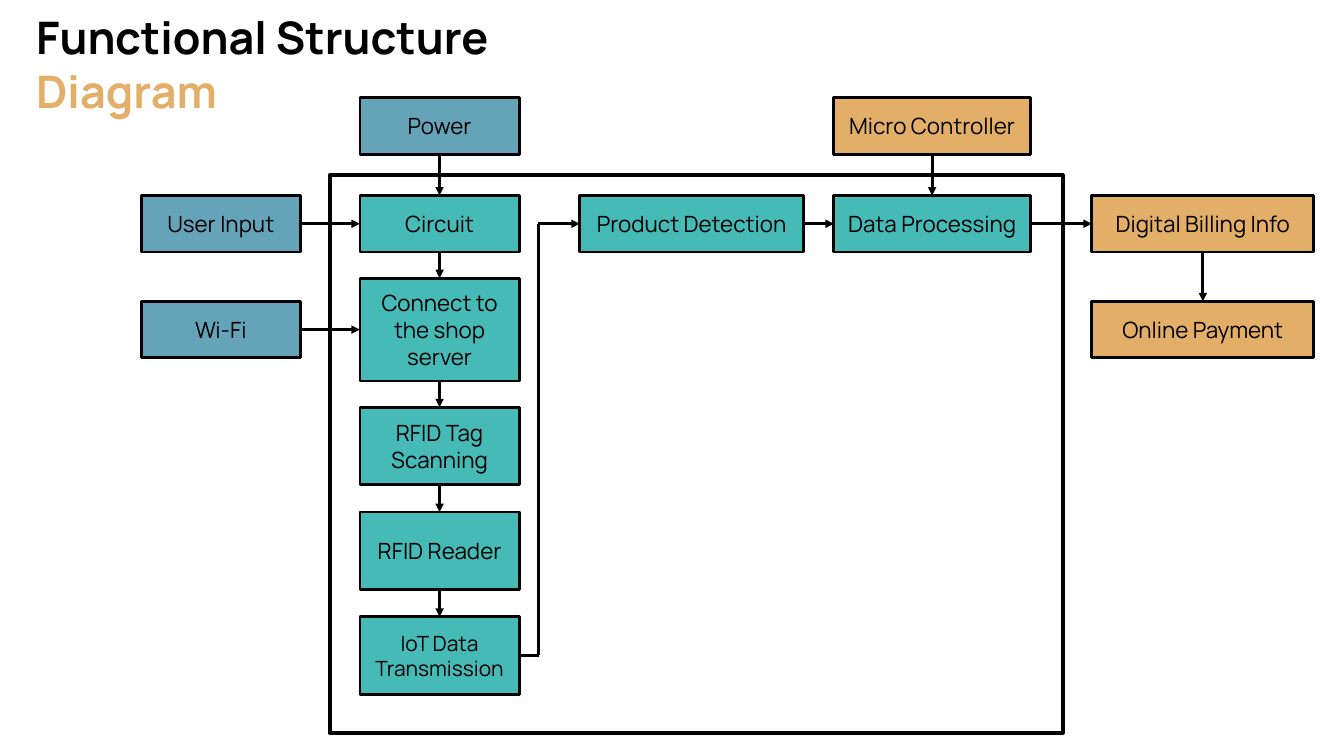
"""Builds the functional structure diagram slide."""
from typing import NamedTuple

from lxml import etree
from pptx import Presentation
from pptx.dml.color import RGBColor
from pptx.enum.shapes import MSO_CONNECTOR, MSO_SHAPE
from pptx.enum.text import MSO_ANCHOR, PP_ALIGN
from pptx.oxml.ns import qn
from pptx.util import Pt

PX = 9144
FONT = "Manrope"
BLACK = RGBColor(0x00, 0x00, 0x00)
TEAL = RGBColor(0x46, 0xBA, 0xB7)
SAND = RGBColor(0xE2, 0xAE, 0x68)
BLUE = RGBColor(0x65, 0xA3, 0xB9)
RECTANGLE = MSO_SHAPE.RECTANGLE
STRAIGHT = MSO_CONNECTOR.STRAIGHT
MIDDLE = MSO_ANCHOR.MIDDLE
LEFT, CENTER = PP_ALIGN.LEFT, PP_ALIGN.CENTER
TOP_SIDE, LEFT_SIDE, BOTTOM_SIDE, RIGHT_SIDE = range(4)

INPUT_X, STEP_X, DETECT_X, PROCESS_X, BILLING_X = 140, 357, 575, 827, 1083
STEP_W, DETECT_W, PROCESS_W, BILLING_W = 158, 222, 195, 220
SOURCE_Y, MAIN_Y, LOWER_Y = 97, 194, 299
LOW_H, HIGH_H = 56, 77
SCAN_Y, STEP_PITCH = 404, 104
MAIN_MID = MAIN_Y + LOW_H // 2
BEND_X = 534


class Box(NamedTuple):
    """A labelled block of the diagram."""
    label: str
    x: int
    y: int
    w: int
    h: int
    color: RGBColor
    size: int = 16


class Flow(NamedTuple):
    """An arrow from one block to the next, downward or to the right."""
    source: str
    target: str
    down: bool = True


BOXES = [
    Box("Circuit", STEP_X, MAIN_Y, STEP_W, LOW_H, TEAL),
    Box("Connect to the shop server", STEP_X, 276, STEP_W, 102, TEAL),
    Box("RFID Tag Scanning", STEP_X, SCAN_Y, STEP_W, HIGH_H, TEAL),
    Box("RFID Reader", STEP_X, SCAN_Y + STEP_PITCH, STEP_W, HIGH_H, TEAL),
    Box("IoT Data\nTransmission", STEP_X, SCAN_Y + 2 * STEP_PITCH, STEP_W, HIGH_H, TEAL, 15),
    Box("Product Detection", DETECT_X, MAIN_Y, DETECT_W, LOW_H, TEAL),
    Box("Data Processing", PROCESS_X, MAIN_Y, PROCESS_W, LOW_H, TEAL),
    Box("Digital Billing Info", BILLING_X, MAIN_Y, BILLING_W, LOW_H, SAND),
    Box("Online Payment", BILLING_X, LOWER_Y, BILLING_W, LOW_H, SAND),
    Box("User Input", INPUT_X, MAIN_Y, STEP_W, LOW_H, BLUE),
    Box("Wi-Fi", INPUT_X, LOWER_Y, STEP_W, LOW_H, BLUE),
    Box("Power", STEP_X, SOURCE_Y, STEP_W, LOW_H, BLUE),
    Box("Micro Controller", PROCESS_X, SOURCE_Y, PROCESS_W, LOW_H, SAND),
]
FLOWS = [
    Flow("User Input", "Circuit", down=False),
    Flow("Wi-Fi", "Connect to the shop server", down=False),
    Flow("Power", "Circuit"),
    Flow("Circuit", "Connect to the shop server"),
    Flow("Connect to the shop server", "RFID Tag Scanning"),
    Flow("RFID Tag Scanning", "RFID Reader"),
    Flow("RFID Reader", "IoT Data\nTransmission"),
    Flow("Product Detection", "Data Processing", down=False),
    Flow("Micro Controller", "Data Processing"),
    Flow("Data Processing", "Digital Billing Info", down=False),
    Flow("Digital Billing Info", "Online Payment"),
]


def add_run(paragraph, text: str, *, size: int = 16, color: RGBColor = BLACK,
            bold: bool = False, align: PP_ALIGN = CENTER) -> None:
    """Append formatted text to a paragraph."""
    paragraph.alignment = align
    run = paragraph.add_run()
    run.text = text
    run.font.name = FONT
    run.font.size = Pt(size)
    run.font.bold = bold
    run.font.color.rgb = color


def add_rectangle(slide, x: int, y: int, w: int, h: int, *, line: int = 2):
    """Draw an unfilled rectangle with a black outline."""
    rectangle = slide.shapes.add_shape(RECTANGLE, x * PX, y * PX, w * PX, h * PX)
    rectangle.shadow.inherit = False
    rectangle.fill.background()
    rectangle.line.color.rgb = BLACK
    rectangle.line.width = Pt(line)
    return rectangle


def add_box(slide, box: Box):
    """Draw a filled block with its centred label."""
    block = add_rectangle(slide, box.x, box.y, box.w, box.h)
    block.fill.solid()
    block.fill.fore_color.rgb = box.color
    frame = block.text_frame
    frame.word_wrap = True
    frame.vertical_anchor = MIDDLE
    for index, text in enumerate(box.label.split("\n")):
        paragraph = frame.add_paragraph() if index else frame.paragraphs[0]
        add_run(paragraph, text, size=box.size)
    return block


def add_line(slide, x1: int, y1: int, x2: int, y2: int, *, arrow: bool = True):
    """Draw a straight black line, with an arrowhead at its end if wanted."""
    line = slide.shapes.add_connector(STRAIGHT, x1 * PX, y1 * PX, x2 * PX, y2 * PX)
    line.line.color.rgb = BLACK
    line.line.width = Pt(2)
    if arrow:
        etree.SubElement(line.line._get_or_add_ln(), qn("a:tailEnd"), type="triangle")
    etree.SubElement(line._element.spPr, qn("a:effectLst"))
    return line


def add_flow(slide, flow: Flow, blocks: dict) -> None:
    """Glue an arrow to the facing sides of two blocks."""
    arrow = add_line(slide, 0, 0, 0, 0)
    arrow.begin_connect(blocks[flow.source], BOTTOM_SIDE if flow.down else RIGHT_SIDE)
    arrow.end_connect(blocks[flow.target], TOP_SIDE if flow.down else LEFT_SIDE)


def add_title(slide) -> None:
    """Write the two-coloured slide title."""
    title = slide.shapes.add_textbox(26 * PX, 5 * PX, 603 * PX, 118 * PX)
    title.text_frame.word_wrap = True
    paragraph = title.text_frame.paragraphs[0]
    for text, color in (("Functional Structure ", BLACK), ("Diagram", SAND)):
        add_run(paragraph, text, size=32, color=color, bold=True, align=LEFT)


def main() -> None:
    """Build and save the slide."""
    deck = Presentation()
    deck.slide_width, deck.slide_height = 1333 * PX, 750 * PX
    slide = deck.slides.add_slide(deck.slide_layouts[6])

    blocks = {box.label: add_box(slide, box) for box in BOXES}
    for flow in FLOWS:
        add_flow(slide, flow, blocks)

    transmission_mid = SCAN_Y + 2 * STEP_PITCH + HIGH_H // 2
    add_line(slide, STEP_X + STEP_W, transmission_mid, BEND_X + 1, transmission_mid, arrow=False)
    add_line(slide, BEND_X, MAIN_MID, BEND_X, transmission_mid, arrow=False)
    add_line(slide, BEND_X, MAIN_MID, DETECT_X, MAIN_MID)

    add_rectangle(slide, 327, 174, 727, 553, line=3)
    add_title(slide)
    deck.save("out.pptx")


if __name__ == "__main__":
    main()
